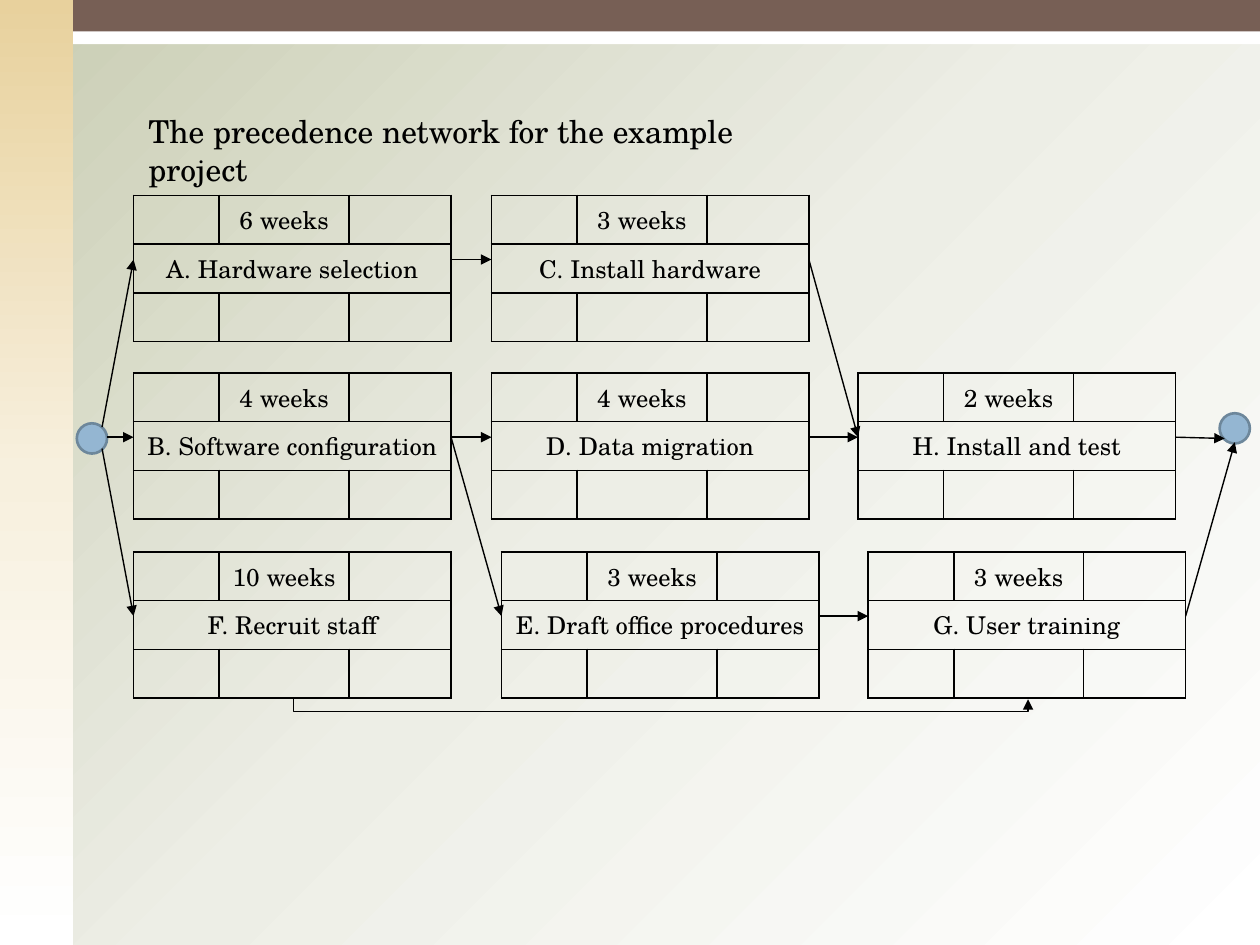
from copy import deepcopy
from lxml import etree
from pptx import Presentation
from pptx.dml.color import RGBColor
from pptx.enum.shapes import MSO_CONNECTOR, MSO_SHAPE
from pptx.enum.text import MSO_ANCHOR, MSO_AUTO_SIZE, PP_ALIGN
from pptx.oxml.ns import qn
from pptx.util import Inches, Pt

RECTANGLE, OVAL = MSO_SHAPE.RECTANGLE, MSO_SHAPE.OVAL
STRAIGHT, ELBOW = MSO_CONNECTOR.STRAIGHT, MSO_CONNECTOR.ELBOW
FONT = "TeX Gyre Schola"
BLACK = "000000"
color = RGBColor.from_string


def set_gradient(fill, element, colors, angle):
    fill.gradient()
    fill.gradient_angle = angle
    stops = element.find(".//" + qn("a:gsLst"))
    stops.insert(1, deepcopy(stops[0]))
    for stop, position, value in zip(fill.gradient_stops, (0, 0.5, 1), colors):
        stop.position = position
        stop.color.rgb = color(value)


def style_text(paragraph, size):
    for span in paragraph.runs:
        span.font.name = FONT
        span.font.size = Pt(size)
        span.font.color.rgb = color(BLACK)


deck = Presentation()
deck.slide_width, deck.slide_height = Inches(10), Inches(7.5)
page = deck.slides.add_slide(deck.slide_layouts[6])
set_gradient(page.background.fill, page.element, ("C9CDB3", "EDEEE6", "FFFFFF"), 315)

bands = [
    (0, 0, 10, 0.35, "FFFFFF"),
    (0, 0, 0.58, 7.5, ("E8D19D", "F7F0DE", "FFFFFF")),
    (0.58, 0, 9.42, 0.25, "775F55"),
]
for left, top, width, height, paint in bands:
    band = page.shapes.add_shape(
        RECTANGLE, Inches(left), Inches(top), Inches(width), Inches(height))
    band.shadow.inherit = False
    band.line.fill.background()
    if isinstance(paint, tuple):
        set_gradient(band.fill, band.element, paint, 270)
    else:
        band.fill.solid()
        band.fill.fore_color.rgb = color(paint)

ROW_TOPS = (1.55, 2.96, 4.38)
COLUMN_WIDTHS = (0.68, 1.03, 0.81)
ROW_HEIGHT = 0.34
activities = [
    ("A. Hardware selection", "6 weeks", 1.06, 0),
    ("B. Software configuration", "4 weeks", 1.06, 1),
    ("C. Install hardware", "3 weeks", 3.9, 0),
    ("D. Data migration", "4 weeks", 3.9, 1),
    ("E. Draft office procedures", "3 weeks", 3.98, 2),
    ("F. Recruit staff", "10 weeks", 1.06, 2),
    ("G. User training", "3 weeks", 6.89, 2),
    ("H. Install and test", "2 weeks", 6.81, 1),
]
for name, duration, left, row in activities:
    table = page.shapes.add_table(
        3, 3, Inches(left), Inches(ROW_TOPS[row]),
        Inches(sum(COLUMN_WIDTHS)), Inches(3 * ROW_HEIGHT)).table
    table.first_row = table.horz_banding = False
    for column, width in zip(table.columns, COLUMN_WIDTHS):
        column.width = Inches(width)
    for table_row in table.rows:
        table_row.height = Inches(ROW_HEIGHT)
    table.cell(1, 0).merge(table.cell(1, 2))
    table.cell(0, 1).text_frame.text = duration
    table.cell(1, 0).text_frame.text = name
    for cell in table.iter_cells():
        cell.margin_top = cell.margin_bottom = Inches(0.05 if cell.text_frame.text else 0.04)
        cell.vertical_anchor = MSO_ANCHOR.MIDDLE
        para = cell.text_frame.paragraphs[0]
        para.alignment = PP_ALIGN.CENTER
        style_text(para, 14)
        properties = cell._tc.get_or_add_tcPr()
        for side in ("a:lnL", "a:lnR", "a:lnT", "a:lnB"):
            border = etree.SubElement(properties, qn(side), w=str(Pt(1)))
            solid = etree.SubElement(border, qn("a:solidFill"))
            etree.SubElement(solid, qn("a:srgbClr"), val=BLACK)
        cell.fill.background()

for left, top in [(0.61, 3.36), (9.68, 3.28)]:
    node = page.shapes.add_shape(
        OVAL, Inches(left), Inches(top), Inches(0.24), Inches(0.24))
    node.shadow.inherit = False
    node.fill.solid()
    node.fill.fore_color.rgb = color("94B6D2")
    node.line.color.rgb = color("6D879B")
    node.line.width = Pt(1.5)

UPPER, MIDDLE, LOWER = 2.06, 3.47, 4.89
arrows = [
    (STRAIGHT, 0.81, 3.39, 1.06, UPPER),
    (STRAIGHT, 0.85, MIDDLE, 1.06, MIDDLE),
    (STRAIGHT, 0.81, 3.56, 1.06, LOWER),
    (STRAIGHT, 3.58, MIDDLE, 3.9, MIDDLE),
    (STRAIGHT, 3.58, MIDDLE, 3.98, LOWER),
    (STRAIGHT, 3.58, UPPER, 3.9, UPPER),
    (STRAIGHT, 6.42, MIDDLE, 6.81, MIDDLE),
    (STRAIGHT, 6.42, UPPER, 6.81, MIDDLE),
    (STRAIGHT, 6.5, LOWER, 6.89, LOWER),
    (STRAIGHT, 9.33, MIDDLE, 9.72, 3.48),
    (STRAIGHT, 9.41, LOWER, 9.8, 3.51),
    (ELBOW, 5.25, 2.63, 5.24, 8.46),
]
for kind, *ends in arrows:
    arrow = page.shapes.add_connector(kind, *map(Inches, ends))
    arrow.line.color.rgb = color(BLACK)
    arrow.line.width = Pt(0.79)
    properties = arrow.element.spPr
    etree.SubElement(properties.find(qn("a:ln")), qn("a:tailEnd"), type="triangle")
    etree.SubElement(properties, qn("a:effectLst"))
    if kind == ELBOW:
        properties.find(qn("a:xfrm")).set("rot", str(270 * 60000))
        guides = properties.find(qn("a:prstGeom")).find(qn("a:avLst"))
        etree.SubElement(guides, qn("a:gd"), name="adj1", fmla="val 1100000")

title = page.shapes.add_textbox(Inches(1.08), Inches(0.84), Inches(5.64), Inches(0.4))
title.text_frame.word_wrap = True
title.text_frame.auto_size = MSO_AUTO_SIZE.SHAPE_TO_FIT_TEXT
title.text_frame.text = "The precedence network for the example project"
style_text(title.text_frame.paragraphs[0], 18)

deck.save("out.pptx")
